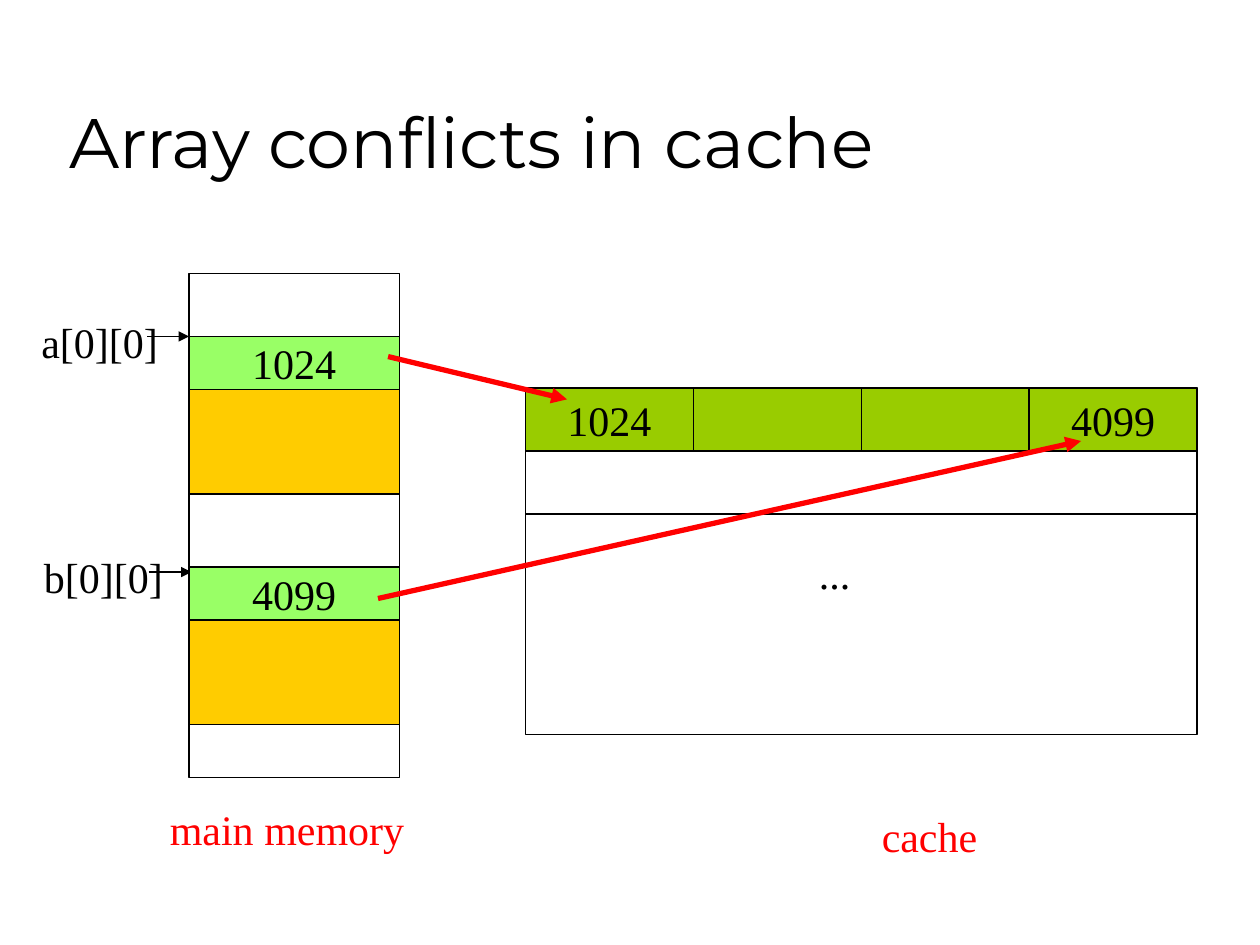
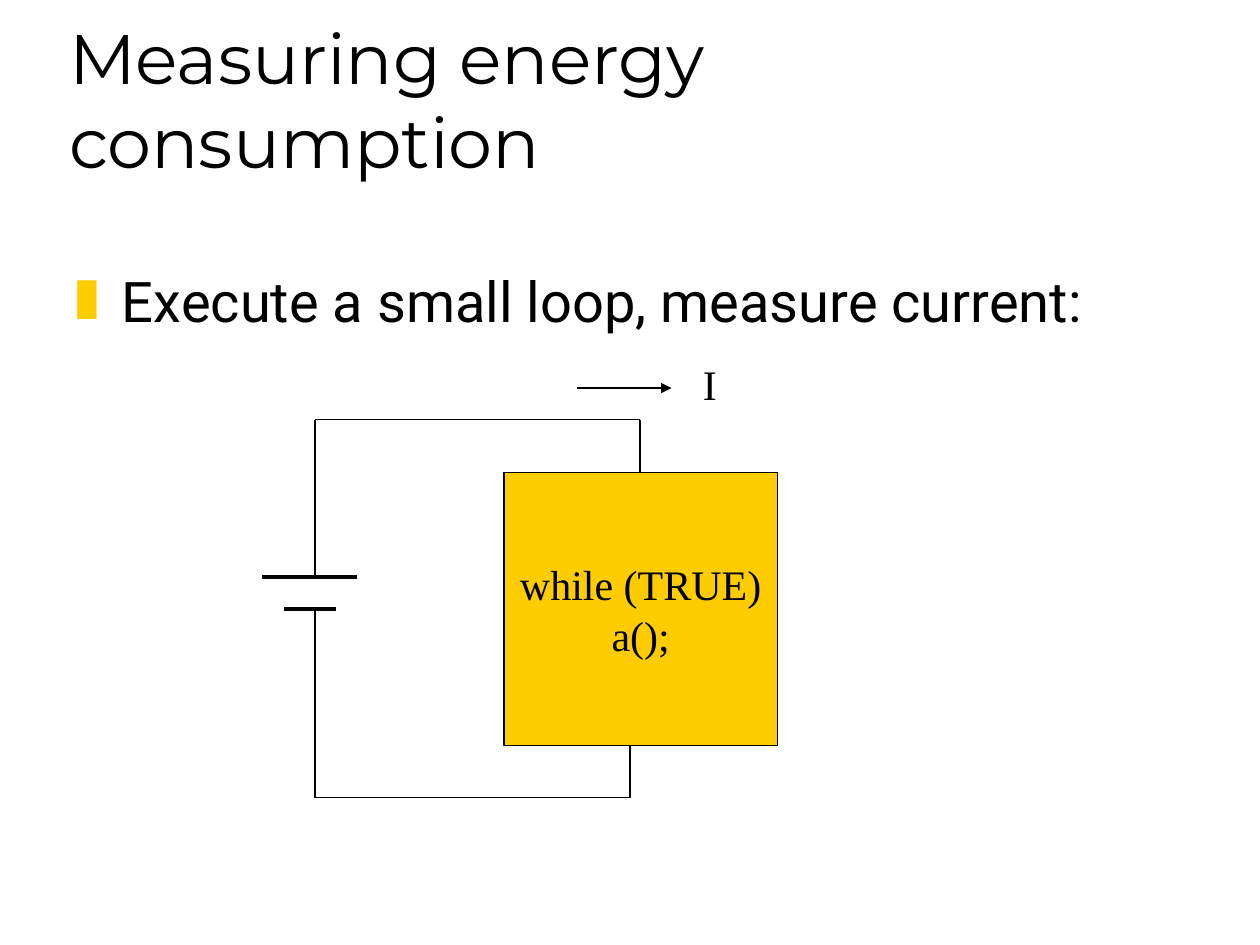
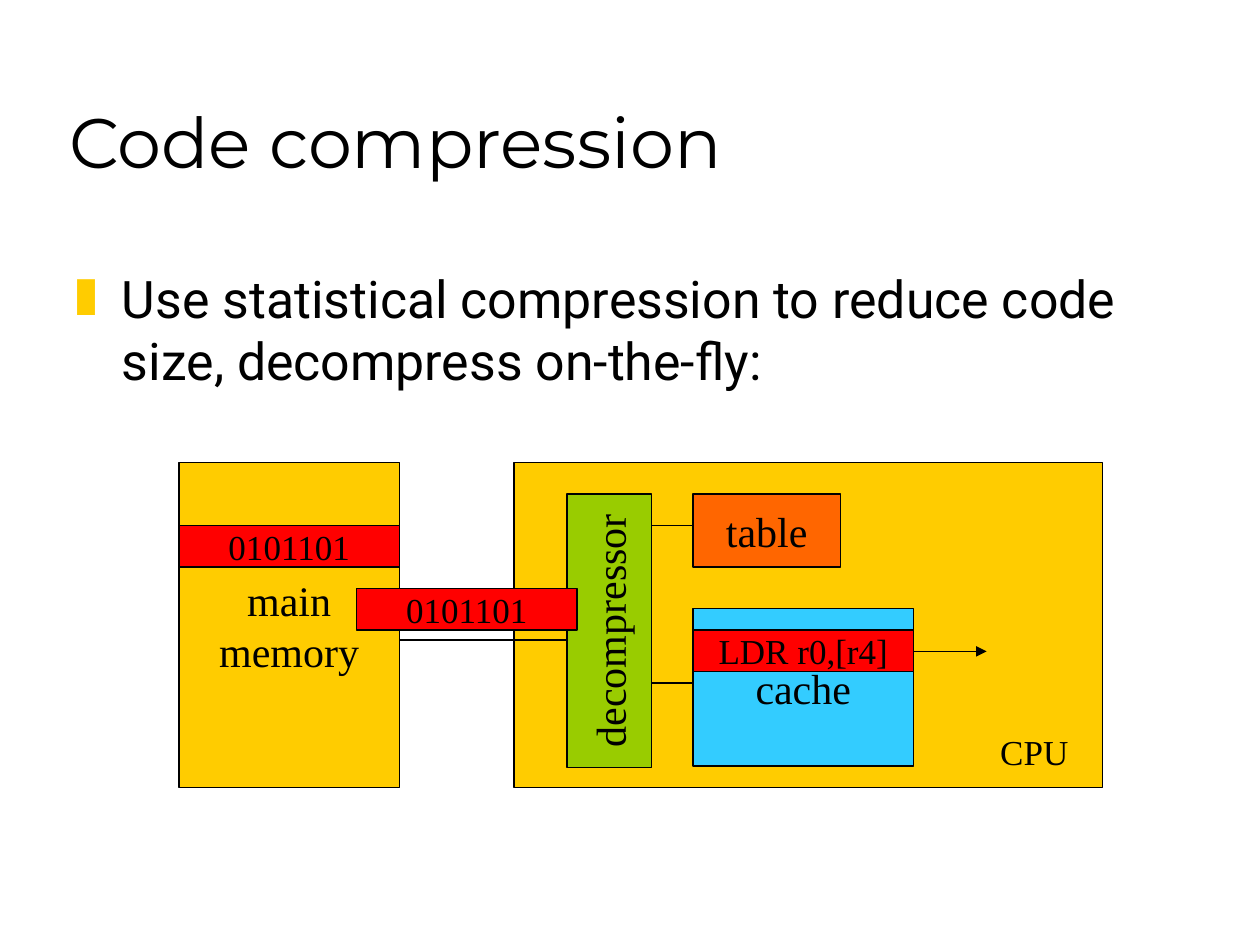
from dataclasses import dataclass
from itertools import pairwise

from lxml.etree import SubElement
from pptx import Presentation
from pptx.dml.color import RGBColor
from pptx.enum.shapes import MSO_CONNECTOR, MSO_SHAPE
from pptx.enum.text import MSO_ANCHOR, MSO_AUTO_SIZE, PP_ALIGN
from pptx.oxml.ns import qn
from pptx.slide import Slide
from pptx.text.text import TextFrame
from pptx.util import Inches, Pt


@dataclass(frozen=True)
class Theme:
    black: str = "000000"
    red: str = "FF0000"
    gold: str = "FFCC00"
    olive: str = "99CC00"
    lime: str = "99FF66"
    orange: str = "FF6600"
    blue: str = "33CCFF"
    head_font: str = "Montserrat"
    body_font: str = "Roboto"
    font: str = "Times New Roman"
    head: float = 40
    body: float = 32
    tight: float = 29.6
    text: float = 24
    small: float = 20
    thin: float = 0.75
    plate: float = 2.25
    thick: float = 3


THEME = Theme()


@dataclass(frozen=True)
class Box:
    left: float
    top: float
    width: float
    height: float
    fill: str | None = None
    text: str = ""
    size: float = THEME.text
    turn: float = 0


@dataclass(frozen=True)
class Label:
    left: float
    top: float
    width: float
    text: str
    color: str = THEME.black
    size: float = THEME.text
    height: float = 0.5


@dataclass(frozen=True)
class Wire:
    start: tuple[float, float]
    end: tuple[float, float]
    arrow: bool = False
    color: str = THEME.black
    weight: float = THEME.thin


Item = Box | Label | Wire


def style(frame: TextFrame, size: float, font: str = THEME.font,
          color: str = THEME.black, align: PP_ALIGN = PP_ALIGN.LEFT) -> None:
    for para in frame.paragraphs:
        para.alignment = align
        for run in para.runs:
            run.font.size = Pt(size)
            run.font.name = font
            run.font.color.rgb = RGBColor.from_string(color)


def add_text(slide: Slide, left: float, top: float, width: float, height: float,
             text: str, wrap: bool = True) -> TextFrame:
    shape = slide.shapes.add_textbox(Inches(left), Inches(top), Inches(width), Inches(height))
    frame = shape.text_frame
    frame.word_wrap = wrap
    frame.text = text
    return frame


def draw_box(slide: Slide, box: Box) -> None:
    shape = slide.shapes.add_shape(
        MSO_SHAPE.RECTANGLE, Inches(box.left), Inches(box.top),
        Inches(box.width), Inches(box.height))
    shape.shadow.inherit = False
    shape.rotation = box.turn
    shape.line.color.rgb = RGBColor.from_string(THEME.black)
    shape.line.width = Pt(THEME.thin)
    if box.fill:
        shape.fill.solid()
        shape.fill.fore_color.rgb = RGBColor.from_string(box.fill)
    else:
        shape.fill.background()
    if box.text:
        frame = shape.text_frame
        frame.word_wrap = False
        frame.vertical_anchor = MSO_ANCHOR.MIDDLE
        frame.text = box.text
        style(frame, box.size, align=PP_ALIGN.CENTER)


def draw_label(slide: Slide, label: Label) -> None:
    frame = add_text(slide, label.left, label.top, label.width, label.height, label.text, False)
    frame.auto_size = MSO_AUTO_SIZE.SHAPE_TO_FIT_TEXT
    style(frame, label.size, color=label.color)


def draw_wire(slide: Slide, wire: Wire) -> None:
    line = slide.shapes.add_connector(
        MSO_CONNECTOR.STRAIGHT, *(Inches(value) for value in wire.start + wire.end))
    line.line.color.rgb = RGBColor.from_string(wire.color)
    line.line.width = Pt(wire.weight)
    if wire.arrow:
        SubElement(line.line._get_or_add_ln(), qn("a:tailEnd"), type="triangle")
    SubElement(line._element.spPr, qn("a:effectLst"))


def draw(slide: Slide, items: list[Item]) -> None:
    for item in items:
        match item:
            case Box():
                draw_box(slide, item)
            case Label():
                draw_label(slide, item)
            case Wire():
                draw_wire(slide, item)


def add_title(slide: Slide, text: str) -> None:
    frame = add_text(slide, 0.45, 0.25, 8.5, 1.25, text)
    frame.vertical_anchor = MSO_ANCHOR.BOTTOM
    style(frame, THEME.head, THEME.head_font)


def add_bullet(slide: Slide, text: str, height: float, size: float) -> None:
    frame = add_text(slide, 0.5, 2.07, 8.94, height, text)
    props = frame.paragraphs[0]._p.get_or_add_pPr()
    props.set("marL", str(Inches(0.37)))
    props.set("indent", str(Inches(-0.37)))
    tint = SubElement(props, qn("a:buClr"))
    SubElement(tint, qn("a:srgbClr"), val=THEME.gold)
    SubElement(props, qn("a:buFont"), typeface=THEME.font)
    SubElement(props, qn("a:buChar"), char="❚")
    style(frame, size, THEME.body_font)


def route(*points: tuple[float, float]) -> list[Wire]:
    return [Wire(start, end) for start, end in pairwise(points)]


def array_slide(slide: Slide) -> None:
    add_title(slide, "Array conflicts in cache")
    left, width = 1.5, 1.67
    blocks = {2.67: "1024", 4.5: "4099"}
    cells = ["1024", "", "", "4099"]
    row_left, row_top, row_width, row = 4.17, 3.08, 5.33, 0.5
    cell = row_width / len(cells)
    draw(slide, [
        Box(left, 2.17, width, 4),
        *(Box(left, top, width, 1.25, THEME.gold) for top in blocks),
        Wire((1.17, 2.67), (1.5, 2.67), True),
        Label(0.23, 2.46, 1.16, "a[0][0]"),
        Wire((1.18, 4.54), (1.52, 4.54), True),
        Label(0.25, 4.33, 1.18, "b[0][0]"),
        Label(1.25, 6.33, 2.06, "main memory", THEME.red),
        Label(6.9, 6.38, 0.96, "cache", THEME.red),
        Box(row_left, row_top, row_width, 2.75),
        *(Box(row_left + i * cell, row_top, cell, row, THEME.olive, text)
          for i, text in enumerate(cells)),
        Box(row_left, row_top + row, row_width, row),
        Label(6.4, 4.3, 0.45, "..."),
        *(Box(left, top, width, 0.42, THEME.lime, text) for top, text in blocks.items()),
        Wire((3.08, 2.83), (4.5, 3.17), True, THEME.red, THEME.thick),
        Wire((3, 4.75), (8.58, 3.5), True, THEME.red, THEME.thick),
    ])


def energy_slide(slide: Slide) -> None:
    add_title(slide, "Measuring energy consumption")
    add_bullet(slide, "Execute a small loop, measure current:", 0.77, THEME.body)
    draw(slide, [
        Box(4, 3.75, 2.17, 2.17, THEME.gold, "while (TRUE)\na();"),
        Wire((2.08, 4.58), (2.83, 4.58), weight=THEME.plate),
        Wire((2.25, 4.83), (2.67, 4.83), weight=THEME.plate),
        *route((2.5, 4.58), (2.5, 3.33), (5.08, 3.33), (5.08, 3.75)),
        *route((2.5, 4.83), (2.5, 6.33), (5, 6.33), (5, 5.92)),
        Wire((4.58, 3.08), (5.33, 3.08), True),
        Label(5.48, 2.8, 0.31, "I"),
    ])


def code_slide(slide: Slide) -> None:
    add_title(slide, "Code compression")
    add_bullet(slide, "Use statistical compression to reduce code size, decompress on-the-fly:",
               1.1, THEME.tight)
    words = [(1.42, 4.17, "0101101"), (2.83, 4.67, "0101101"), (5.5, 5, "LDR r0,[r4]")]
    draw(slide, [
        Box(4.08, 3.67, 4.67, 2.58, THEME.gold),
        Label(7.84, 5.75, 0.74, "CPU", size=THEME.small, height=0.44),
        Box(3.75, 4.67, 2.17, 0.67, THEME.olive, "decompressor", turn=270),
        Box(5.5, 3.92, 1.17, 0.58, THEME.orange, "table"),
        Box(5.5, 4.83, 1.75, 1.25, THEME.blue, "cache"),
        Box(1.42, 3.67, 1.75, 2.58, THEME.gold, "main\nmemory"),
        Wire((3.17, 5.08), (4.5, 5.08)),
        Wire((5.17, 5.42), (5.5, 5.42)),
        Wire((5.5, 4.17), (5.17, 4.17)),
        Wire((7.17, 5.17), (7.83, 5.17), True),
        *(Box(left, top, 1.75, 0.33, THEME.red, text, THEME.small) for left, top, text in words),
    ])


def main() -> None:
    deck = Presentation()
    deck.slide_width = Inches(10)
    deck.slide_height = Inches(7.5)
    for build in (array_slide, energy_slide, code_slide):
        build(deck.slides.add_slide(deck.slide_layouts[6]))
    deck.save("out.pptx")


if __name__ == "__main__":
    main()
